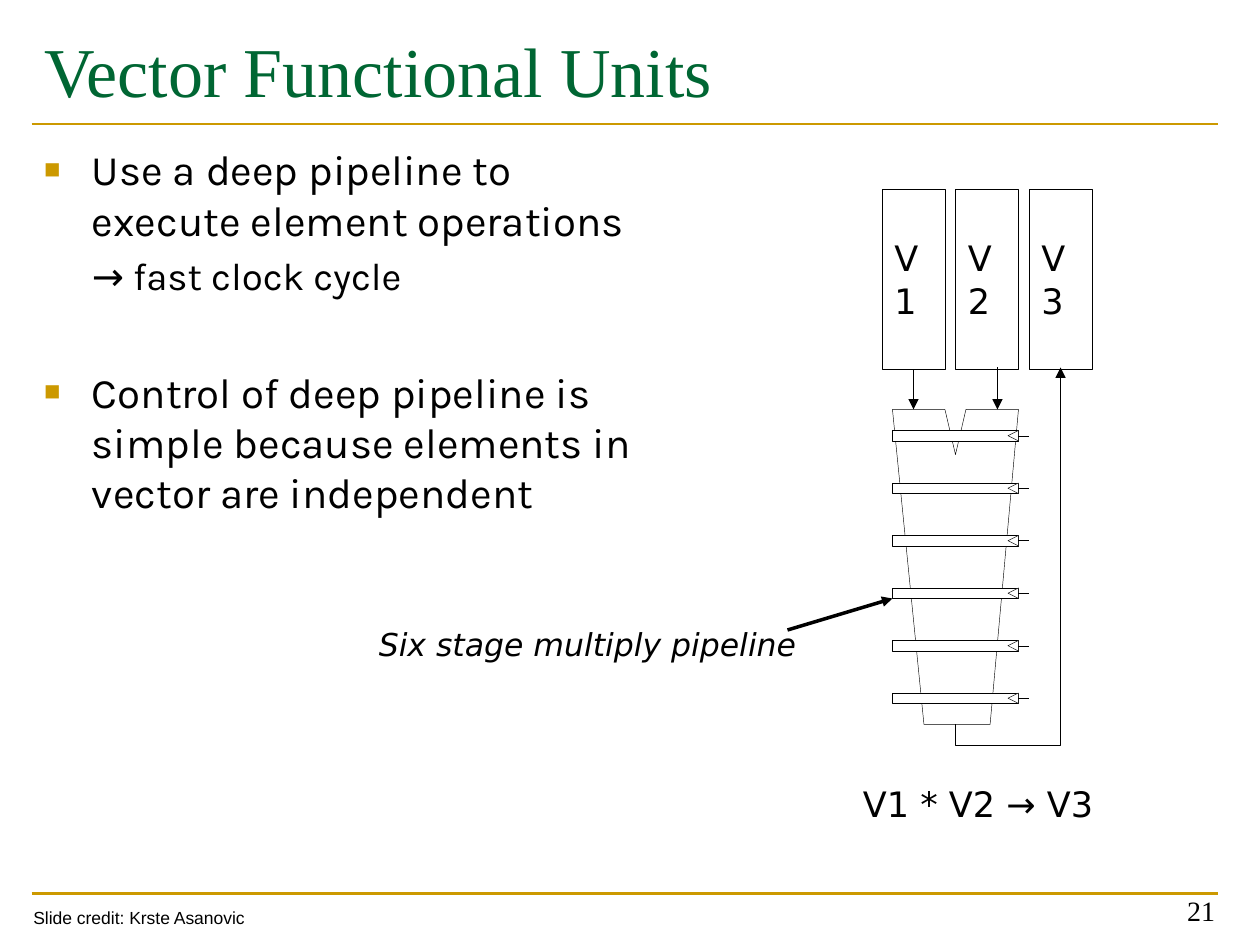
from dataclasses import dataclass

from pptx import Presentation, util as u
from pptx.dml.color import RGBColor
from pptx.enum import shapes, text
from pptx.oxml.ns import qn
from lxml import etree

COLS, ROWS = 120, 90  # grid of the slide: twelve units to the inch
STAGES = 6


@dataclass(frozen=True)
class Theme:
    ink: str = "000000"
    paper: str = "FFFFFF"
    green: str = "006633"
    gold: str = "CC9900"
    head: str = "Times New Roman"
    body: str = "Karla"
    label: str = "DejaVu Sans"
    small: str = "Arial"
    title: float = 40
    list: float = 24
    sub: float = 22
    vector: float = 20
    note: float = 18
    page: float = 16
    credit: float = 10
    thin: float = 0.25
    rule: float = 1.5
    bold: float = 2


T = Theme()


def grid(*vals):
    return [u.Inches(v / 12) for v in vals]


def rgb(code):
    return RGBColor.from_string(code)


def add(parent, tag, **attrs):
    return etree.SubElement(parent, qn(tag), attrs)


def write(para, words, font=T.label, size=T.vector, color=T.ink, italic=None,
          align=None, before=0):
    """Put one formatted run into a paragraph."""
    para.alignment = align
    para.space_before = u.Pt(before)
    run = para.add_run()
    run.text = words
    run.font.name, run.font.size = font, u.Pt(size)
    run.font.italic = italic
    run.font.color.rgb = rgb(color)


def bullet(para, mark):
    """Hang the paragraph on a gold square, or indent it without one."""
    props = para._p.get_or_add_pPr()
    props.set("marL", str(u.Inches(0.38)))
    props.set("indent", str(-u.Inches(0.38) if mark else 0))
    if mark:
        add(add(props, "a:buClr"), "a:srgbClr", val=T.gold)
        add(props, "a:buSzPct", val="65000")
        add(props, "a:buChar", char=mark)
    else:
        add(props, "a:buNone")


def label(slide, words, place, anchor=text.MSO_ANCHOR.TOP, wrap=False, **fmt):
    frame = slide.shapes.add_textbox(*grid(*place)).text_frame
    frame.word_wrap = wrap
    frame.vertical_anchor = anchor
    if not wrap:
        frame.auto_size = text.MSO_AUTO_SIZE.SHAPE_TO_FIT_TEXT
    write(frame.paragraphs[0], words, **fmt)


def style(shape, fill=None):
    shape.shadow.inherit = False
    if fill:
        shape.fill.solid()
        shape.fill.fore_color.rgb = rgb(fill)
    else:
        shape.fill.background()
    shape.line.color.rgb = rgb(T.ink)
    shape.line.width = u.Pt(T.thin)
    return shape


def rect(home, place, fill=None):
    return style(home.shapes.add_shape(shapes.MSO_SHAPE.RECTANGLE, *grid(*place)), fill)


def outline(home, points, fill=None, close=True):
    start, *rest = [grid(*pt) for pt in points]
    build = home.shapes.build_freeform(*start, scale=1.0)
    build.add_line_segments(rest, close=close)
    return style(build.convert_to_shape(), fill)


def arrow(shape):
    add(shape.line._get_or_add_ln(), "a:tailEnd", type="triangle")


def line(home, ends, color=T.ink, width=T.thin, head=False):
    link = home.shapes.add_connector(shapes.MSO_CONNECTOR.STRAIGHT, *grid(*ends))
    link.line.color.rgb = rgb(color)
    link.line.width = u.Pt(width)
    if head:
        arrow(link)
    add(link._element.spPr, "a:effectLst")
    return link


def heading(slide):
    title = slide.shapes.title
    title.left, title.top, title.width, title.height = grid(3, 2, 113, 14)
    frame = title.text_frame
    frame.vertical_anchor = text.MSO_ANCHOR.TOP
    frame.auto_size = text.MSO_AUTO_SIZE.NONE
    write(frame.paragraphs[0], "Vector Functional Units", font=T.head,
          size=T.title, color=T.green, align=text.PP_ALIGN.LEFT)


def points(slide):
    body = slide.placeholders[1]
    body.left, body.top, body.width, body.height = grid(3, 13.1, 62, 68.2)
    frame = body.text_frame
    frame.auto_size = text.MSO_AUTO_SIZE.NONE
    items = [
        ("Use a deep pipeline to execute element operations", "■", T.list, 0),
        ("→ fast clock cycle", None, T.sub, 4.4),
        ("Control of deep pipeline is simple because elements in vector "
         "are independent", "■", T.list, 38.6),
    ]
    for i, (words, mark, size, gap) in enumerate(items):
        para = frame.add_paragraph() if i else frame.paragraphs[0]
        para.level = 0 if mark else 1
        write(para, words, font=T.body, size=size, before=gap)
        bullet(para, mark)


def register(slide, i):
    """Tall box for one vector register."""
    box = rect(slide, (84 + 7 * i, 18, 6, 17.15))
    frame = box.text_frame
    frame.word_wrap = True
    frame.vertical_anchor = text.MSO_ANCHOR.MIDDLE
    write(frame.paragraphs[0], f"V{i + 1}", align=text.PP_ALIGN.LEFT)
    return box


def stage(slide, i):
    """Pipeline latch: a bar, its clock notch and the clock tick."""
    top = 41 + 5 * i
    group = slide.shapes.add_group_shape()
    bar = rect(group, (85, top, 12, 1), T.paper)
    outline(group, [(97, top + 1), (96, top + 0.5), (97, top)], T.paper)
    line(group, (97, top + 0.5, 98, top + 0.5)).begin_connect(bar, 3)


def unit(slide):
    # Multiplier body with its notch
    outline(slide, [(85, 39), (88, 69), (94.3, 69), (97, 39), (92, 39),
                    (91, 43.3), (90, 39)])
    for i in range(STAGES):
        stage(slide, i)
    # Registers, inputs and the way back to V3
    boxes = [register(slide, i) for i in range(3)]
    line(slide, (87, 35, 87, 39), head=True).begin_connect(boxes[0], 2)
    line(slide, (95, 35, 95, 39), head=True)
    back = outline(slide, [(91, 69), (91, 71), (101, 71), (101, 35)], close=False)
    arrow(back)


def main():
    deck = Presentation()
    deck.slide_width, deck.slide_height = grid(COLS, ROWS)
    slide = deck.slides.add_slide(deck.slide_layouts[1])

    # Rules, title and list
    for y in (11.8, 85.1):
        line(slide, (3, y, 116, y), T.gold, T.rule)
    heading(slide)
    points(slide)

    # Diagram with its captions
    unit(slide)
    label(slide, "V1 * V2 → V3", (81, 73.9, 25.9, 5.3), text.MSO_ANCHOR.MIDDLE)
    label(slide, "Six stage multiply pipeline", (34.9, 58.9, 42.2, 4.8),
          size=T.note, italic=True)
    line(slide, (75, 60, 85, 57), width=T.bold, head=True)

    # Footer
    label(slide, "21", (88.9, 82.9, 28, 6), text.MSO_ANCHOR.BOTTOM, wrap=True,
          font=T.head, size=T.page, align=text.PP_ALIGN.RIGHT)
    label(slide, "Slide credit: Krste Asanovic", (2, 85.8, 22.8, 3.2),
          font=T.small, size=T.credit)
    deck.save("out.pptx")


if __name__ == "__main__":
    main()
